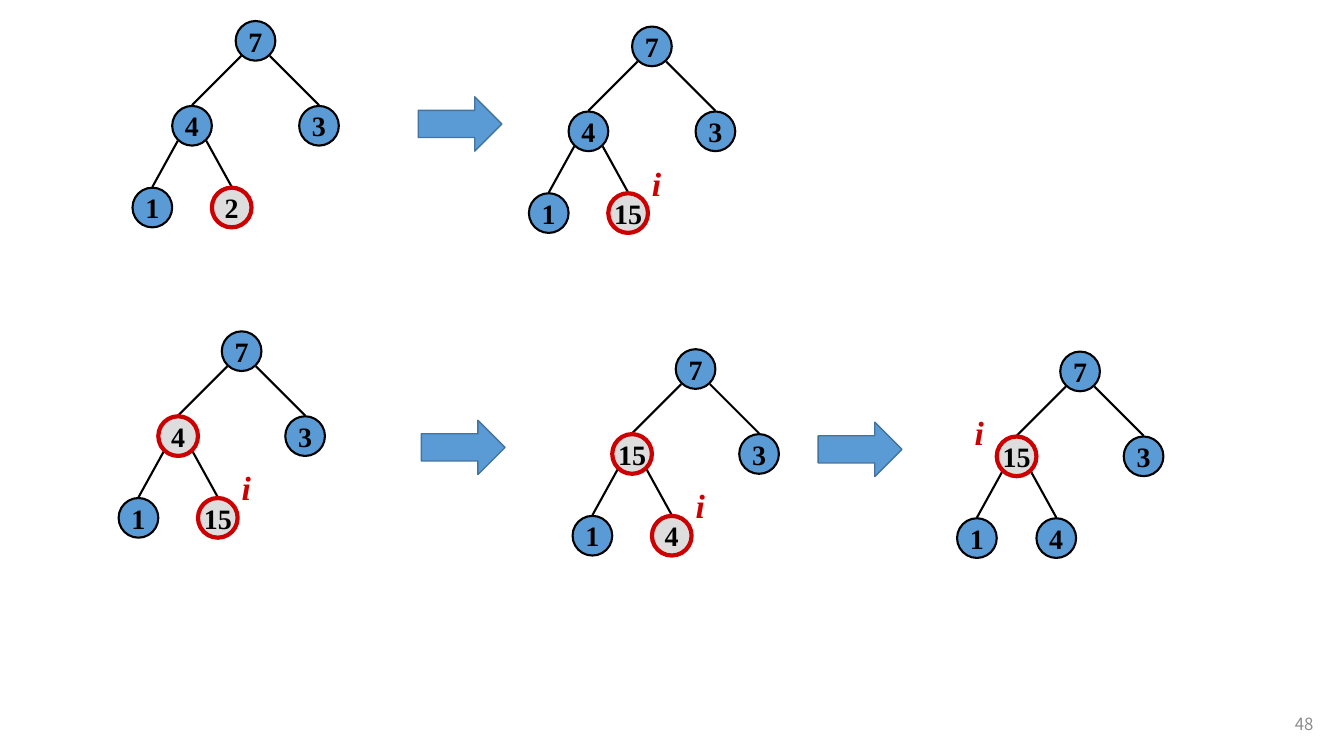
from lxml import etree
from pptx import Presentation
from pptx.dml.color import RGBColor
from pptx.enum.shapes import MSO_CONNECTOR, MSO_SHAPE
from pptx.enum.text import MSO_ANCHOR, MSO_AUTO_SIZE, PP_ALIGN
from pptx.oxml.ns import qn
from pptx.util import Cm, Pt

OVAL, ARROW = MSO_SHAPE.OVAL, MSO_SHAPE.RIGHT_ARROW
LINE = MSO_CONNECTOR.STRAIGHT
MIDDLE = MSO_ANCHOR.MIDDLE
GROW = MSO_AUTO_SIZE.SHAPE_TO_FIT_TEXT
LEFT, CENTER, RIGHT = PP_ALIGN.LEFT, PP_ALIGN.CENTER, PP_ALIGN.RIGHT

BLACK = RGBColor(0x00, 0x00, 0x00)
BLUE = RGBColor(0x5B, 0x9B, 0xD5)
NAVY = RGBColor(0x43, 0x73, 0x9E)
SILVER = RGBColor(0xDD, 0xDD, 0xDD)
RED = RGBColor(0xCC, 0x00, 0x00)
GRAY = RGBColor(0x8C, 0x8C, 0x8C)

SERIF, SANS = "Times New Roman", "Noto Sans CJK SC"

# Tree layout in cm: node offsets from the root, then edges by node index
SIZE = 1.0
NODES = [(0, 0), (-1.6, 2.14), (1.6, 2.14), (-2.6, 4.2), (-0.6, 4.2)]
EDGES = [(0, 1), (0, 2), (1, 3), (1, 4)]

# Root place, node values, marked nodes, place of "i" from the root
TREES = [
    (5.94, 0.53, "7 4 3 1 2", {4}, None),
    (15.93, 0.67, "7 4 3 1 15", {4}, (0.25, 3.3)),
    (5.59, 8.35, "7 4 3 1 15", {1, 4}, (0.25, 3.3)),
    (17.03, 8.8, "7 15 3 1 4", {1, 4}, (0.25, 3.3)),
    (26.72, 8.86, "7 15 3 1 4", {1}, (-2.41, 1.4)),
]
ARROWS = [(10.54, 2.44), (10.62, 10.59), (20.62, 10.64)]


def add_text(frame, text, size, font, color, align, bold=False, slant=False):
    para = frame.paragraphs[0]
    para.alignment = align
    run = para.add_run()
    run.text = text
    run.font.size = Pt(size)
    run.font.name = font
    run.font.color.rgb = color
    run.font.bold = bold
    run.font.italic = slant


def add_form(slide, kind, x, y, wide, high, fill, line, weight):
    form = slide.shapes.add_shape(kind, Cm(x), Cm(y), Cm(wide), Cm(high))
    form.shadow.inherit = False
    form.fill.solid()
    form.fill.fore_color.rgb = fill
    form.line.color.rgb = line
    form.line.width = Pt(weight)
    return form


def add_node(slide, x, y, value, marked):
    style = (SILVER, RED, 3) if marked else (BLUE, BLACK, 1.5)
    node = add_form(slide, OVAL, x, y, SIZE, SIZE, *style)
    frame = node.text_frame
    frame.word_wrap = False
    frame.vertical_anchor = MIDDLE
    add_text(frame, value, 20, SERIF, BLACK, CENTER, bold=True)


def add_edge(slide, x1, y1, x2, y2):
    edge = slide.shapes.add_connector(LINE, Cm(x1), Cm(y1), Cm(x2), Cm(y2))
    edge.line.color.rgb = BLACK
    edge.line.width = Pt(1.5)
    etree.SubElement(edge._element.spPr, qn("a:effectLst"))


def add_mark(slide, x, y):
    box = slide.shapes.add_textbox(Cm(x), Cm(y), Cm(0.74), Cm(1.27))
    box.text_frame.word_wrap = False
    box.text_frame.auto_size = GROW
    add_text(box.text_frame, "i", 24, SERIF, RED, LEFT, bold=True, slant=True)


def add_tree(slide, x, y, values, marked, mark):
    spots = [(x + dx, y + dy) for dx, dy in NODES]
    # Edges run from the lower side of a parent to the top of its child
    for top, low in EDGES:
        (px, py), (cx, cy) = spots[top], spots[low]
        side = 0.36 if cx > px else -0.36
        add_edge(slide, px + SIZE / 2 + side, py + 0.88,
                 cx + SIZE / 2, cy - 0.02)
    for index, value in enumerate(values.split()):
        add_node(slide, *spots[index], value, index in marked)
    if mark:
        add_mark(slide, x + mark[0], y + mark[1])


def add_number(slide):
    box = slide.shapes.add_textbox(Cm(31.83), Cm(17.73), Cm(1.52), Cm(1.02))
    box.text_frame.word_wrap = True
    box.text_frame.vertical_anchor = MIDDLE
    add_text(box.text_frame, "48", 12, SANS, GRAY, RIGHT)


def main():
    deck = Presentation()
    deck.slide_width, deck.slide_height = Cm(33.87), Cm(19.05)
    slide = deck.slides.add_slide(deck.slide_layouts[6])

    # Heap states
    for tree in TREES:
        add_tree(slide, *tree)

    # Steps between states
    for x, y in ARROWS:
        add_form(slide, ARROW, x, y, 2.11, 1.37, BLUE, NAVY, 1)

    # Page number
    add_number(slide)
    deck.save("out.pptx")


if __name__ == "__main__":
    main()
